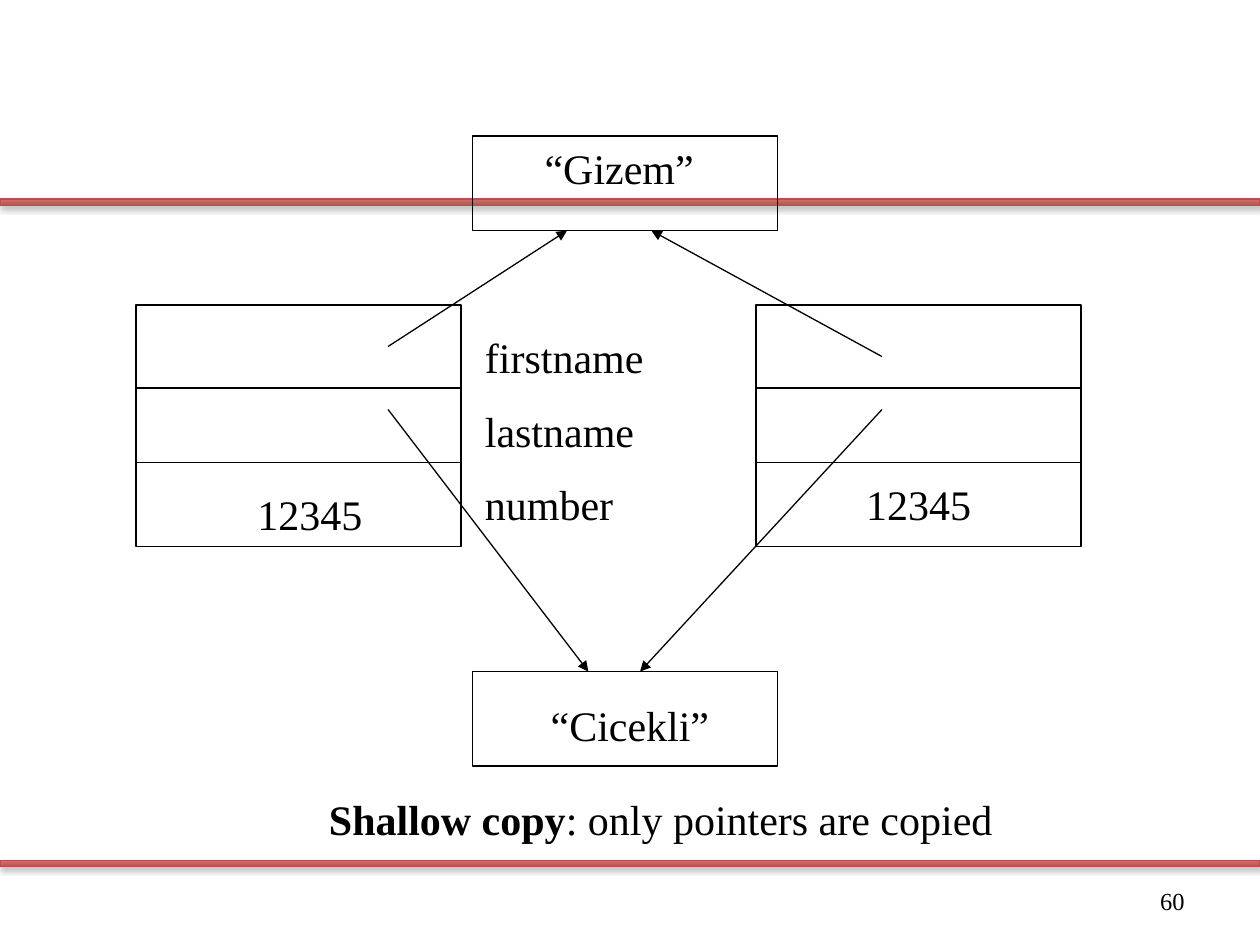
from lxml.etree import SubElement
from pptx import Presentation
from pptx.dml.color import RGBColor
from pptx.enum.shapes import MSO_CONNECTOR, MSO_SHAPE
from pptx.enum.text import MSO_ANCHOR, PP_ALIGN
from pptx.oxml.ns import qn
from pptx.util import Inches, Pt

BLACK = RGBColor(0x00, 0x00, 0x00)
BAR_DARK = RGBColor(0x9C, 0x2F, 0x2D)
BAR_LIGHT = RGBColor(0xCE, 0x3B, 0x37)
BAR_LINE = RGBColor(0xBF, 0x4C, 0x48)
FONT = "Times New Roman"
LEFT, CENTER, RIGHT = PP_ALIGN.LEFT, PP_ALIGN.CENTER, PP_ALIGN.RIGHT

BAR_TOPS = [6.83, 1.58]
RECORD_LEFTS = [1.08, 6]
RECORD_TOP, RECORD_WIDTH, RECORD_HEIGHT = 2.42, 2.58, 1.92
DIVIDERS = [3.08, 3.67]
STRING_LEFT, STRING_WIDTH, STRING_HEIGHT = 3.75, 2.42, 0.75
STRING_TOPS = [1.08, 5.33]
POINTERS = [  # from x, y to x, y
    (3.08, 3.25, 4.67, 5.33),
    (7, 3.25, 5.08, 5.33),
    (3.08, 2.75, 4.5, 1.83),
    (7, 2.83, 5.17, 1.83),
]
LABELS = [  # left, top, width, alignment, (text, bold) runs
    (1.42, 3.83, 2.08, CENTER, [("12345", False)]),
    (6.25, 3.75, 2.08, CENTER, [("12345", False)]),
    (4, 1.08, 1.83, CENTER, [("“Gizem”", False)]),
    (4, 5.5, 2, CENTER, [("“Cicekli”", False)]),
    (3.75, 2.58, 1.75, LEFT, [("firstname", False)]),
    (3.75, 3.17, 1.75, LEFT, [("lastname", False)]),
    (3.75, 3.75, 1.75, LEFT, [("number", False)]),
    (1.08, 6.25, 8.33, CENTER,
     [("Shallow copy", True), (": only pointers are copied", False)]),
]

prs = Presentation()
prs.slide_width, prs.slide_height = Inches(10), Inches(7.5)
slide = prs.slides.add_slide(prs.slide_layouts[6])
shapes = slide.shapes


def add_rect(left, top, width, height, line_color=BLACK):
    sp = shapes.add_shape(MSO_SHAPE.RECTANGLE, Inches(left), Inches(top),
                          Inches(width), Inches(height))
    sp.shadow.inherit = False
    sp.fill.background()
    sp.line.color.rgb = line_color
    sp.line.width = Pt(0.75)
    return sp


def add_bar(top):
    """Full-width translucent gradient rule with a soft shadow below."""
    sp = add_rect(0, top, 10, 0.05, BAR_LINE)
    sp.fill.gradient()
    sp.fill.gradient_angle = 90
    for stop, color in zip(sp.fill.gradient_stops, (BAR_DARK, BAR_LIGHT)):
        stop.color.rgb = color
    props = sp._element.spPr
    for color in props.find(qn("a:gradFill")).iter(qn("a:srgbClr")):
        SubElement(color, qn("a:alpha"), val="73000")
    shadow = SubElement(props.find(qn("a:effectLst")), qn("a:outerShdw"),
                        blurRad=str(Pt(3.1)), dist=str(Pt(1.8)),
                        dir="5400000", rotWithShape="0")
    color = SubElement(shadow, qn("a:srgbClr"), val="000000")
    SubElement(color, qn("a:alpha"), val="35000")


def add_line(x1, y1, x2, y2, arrow=False):
    line = shapes.add_connector(MSO_CONNECTOR.STRAIGHT, Inches(x1), Inches(y1),
                                Inches(x2), Inches(y2))
    line.line.color.rgb = BLACK
    line.line.width = Pt(0.75)
    if arrow:
        SubElement(line.line._get_or_add_ln(), qn("a:tailEnd"), type="triangle")
    SubElement(line._element.spPr, qn("a:effectLst"))


def add_text(left, top, width, align, runs, height=0.5, size=24,
             anchor=MSO_ANCHOR.TOP):
    tf = shapes.add_textbox(Inches(left), Inches(top), Inches(width),
                            Inches(height)).text_frame
    tf.word_wrap = True
    tf.vertical_anchor = anchor
    p = tf.paragraphs[0]
    p.alignment = align
    for text, bold in runs:
        r = p.add_run()
        r.text = text
        r.font.name, r.font.size, r.font.bold = FONT, Pt(size), bold
        r.font.color.rgb = BLACK


for top in BAR_TOPS:
    add_bar(top)
add_text(7.17, 6.95, 2.33, RIGHT, [("60", False)], 0.4, 14, MSO_ANCHOR.MIDDLE)
for left in RECORD_LEFTS:
    add_rect(left, RECORD_TOP, RECORD_WIDTH, RECORD_HEIGHT)
    for y in DIVIDERS:
        add_line(left, y, left + RECORD_WIDTH, y)
for top in STRING_TOPS:
    add_rect(STRING_LEFT, top, STRING_WIDTH, STRING_HEIGHT)
for pointer in POINTERS:
    add_line(*pointer, arrow=True)
for label in LABELS:
    add_text(*label)

prs.save("out.pptx")
